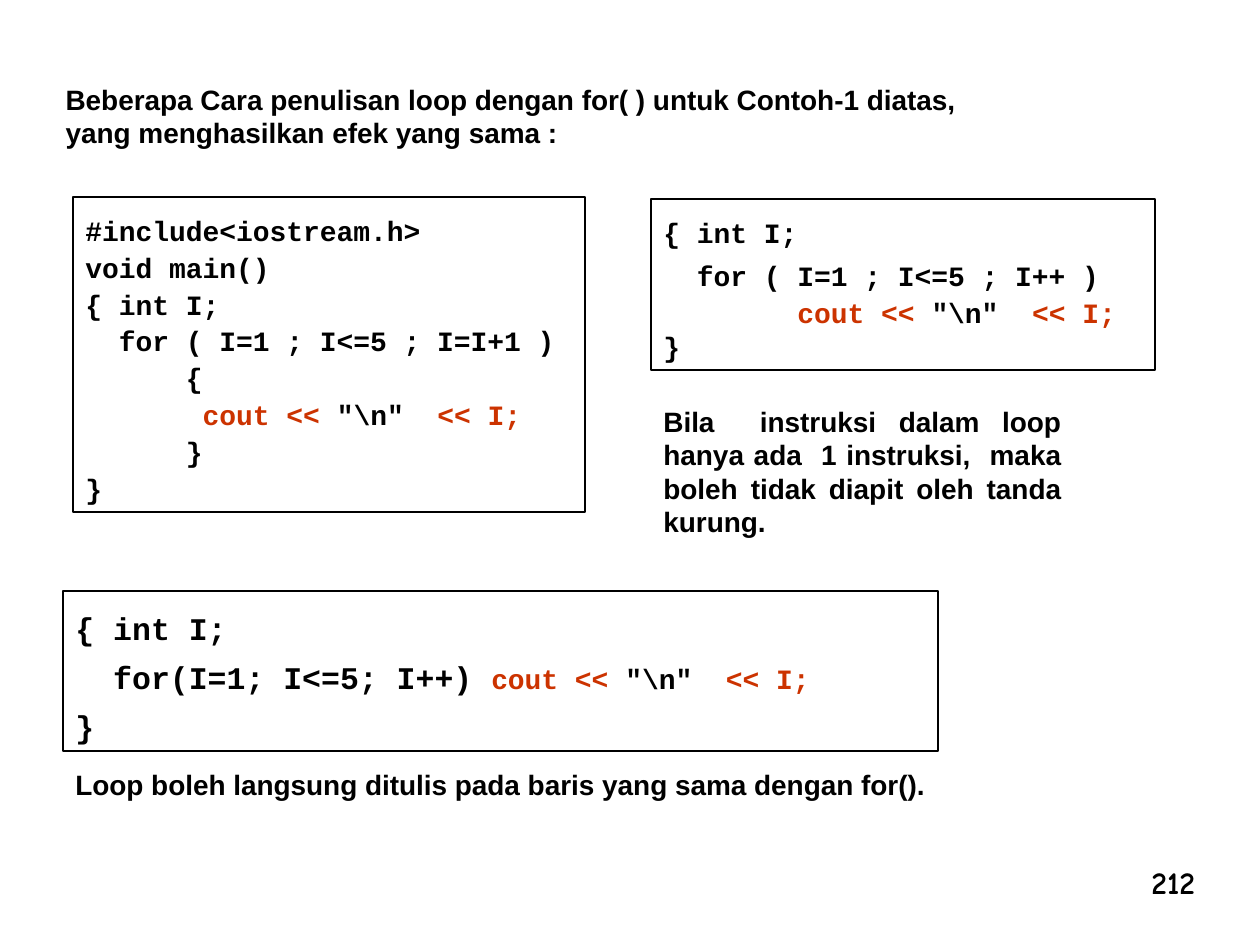
from pptx import Presentation
from pptx.dml.color import RGBColor
from pptx.enum.shapes import MSO_SHAPE
from pptx.enum.text import MSO_ANCHOR, MSO_AUTO_SIZE, PP_ALIGN
from pptx.util import Pt

EMU_PER_PX = 914400 / 126
COLORS = {"ink": "000000", "accent": "CC3300"}
SANS, MONO, NUMBER = "Arial", "Courier New", "Comic Neue"

# Runs of the output statement: text, colour
COUT = [("cout << ", "accent"), ('"\\n"  ', "ink"), ("<< I;", "accent")]


def px(n):
    return round(n * EMU_PER_PX)


def rgb(name):
    return RGBColor.from_string(COLORS[name])


class SlideBuilder:
    def __init__(self, slide):
        self.slide = slide

    def style_run(self, r, font, size, color="ink"):
        r.font.name = font
        r.font.size = Pt(size)
        r.font.bold = True
        r.font.color.rgb = rgb(color)

    def prepare_frame(self, sp, wrap=True):
        tf = sp.text_frame
        tf.word_wrap = wrap
        tf.auto_size = MSO_AUTO_SIZE.NONE
        tf.vertical_anchor = MSO_ANCHOR.TOP
        return tf

    def fill_text(self, sp, text, align, font=SANS, size=16, wrap=True):
        tf = self.prepare_frame(sp, wrap)
        tf.text = text
        p = tf.paragraphs[0]
        p.alignment = align
        self.style_run(p.runs[0], font, size)

    def title(self, box, text):
        sp = self.slide.shapes.title
        sp.left, sp.top, sp.width, sp.height = map(px, box)
        self.fill_text(sp, text, PP_ALIGN.LEFT)

    def text(self, box, text, align=PP_ALIGN.JUSTIFY, **style):
        sp = self.slide.shapes.add_textbox(*map(px, box))
        self.fill_text(sp, text, align, **style)

    def code(self, box, lines, size=16):
        """Outlined listing; each line is (line spacing, text, prints)."""
        sp = self.slide.shapes.add_shape(MSO_SHAPE.RECTANGLE, *map(px, box))
        sp.shadow.inherit = False
        sp.fill.background()
        sp.line.color.rgb = rgb("ink")
        sp.line.width = Pt(0.75)
        tf = self.prepare_frame(sp)
        for i, (spacing, text, prints) in enumerate(lines):
            p = tf.add_paragraph() if i else tf.paragraphs[0]
            p.text = text
            p.alignment = PP_ALIGN.LEFT
            p.line_spacing = spacing
            self.style_run(p.runs[0], MONO, size)
            for part, color in COUT if prints else []:
                r = p.add_run()
                r.text = part
                self.style_run(r, MONO, 16, color)


def main():
    prs = Presentation()
    prs.slide_width, prs.slide_height = px(1260), px(945)
    s = SlideBuilder(prs.slides.add_slide(prs.slide_layouts[5]))

    s.title((53, 76, 969, 81),
            "Beberapa Cara penulisan loop dengan for( ) untuk Contoh-1 diatas, "
            "yang menghasilkan efek yang sama :")
    s.code((73, 197, 512, 315), [
        (1.3, "#include<iostream.h>", False),
        (1.1, "void main()", False),
        (1.1, "{ int I;", False),
        (1.1, "  for ( I=1 ; I<=5 ; I=I+1 )", False),
        (1.1, "      {", False),
        (1.1, "       ", True),
        (1.1, "      }", False),
        (1.1, "}", False),
    ])
    s.code((651, 199, 504, 171), [
        (1.3, "{ int I;", False),
        (1.3, "  for ( I=1 ; I<=5 ; I++ )", False),
        (1.1, "        ", True),
        (1.0, "}", False),
    ])
    s.text((651, 398, 423, 147),
           "Bila  instruksi dalam loop hanya ada  1 instruksi,  maka "
           "boleh tidak diapit oleh tanda kurung.")
    s.code((63, 591, 875, 160), [
        (1.3, "{ int I;", False),
        (1.3, "  for(I=1; I<=5; I++) ", True),
        (1.3, "}", False),
    ], size=18)
    s.text((63, 761, 882, 47),
           "Loop boleh langsung ditulis pada baris yang sama dengan for().")
    s.text((1139, 857, 68, 50), "212", PP_ALIGN.LEFT,
           font=NUMBER, size=18, wrap=False)

    prs.save("out.pptx")


if __name__ == "__main__":
    main()
